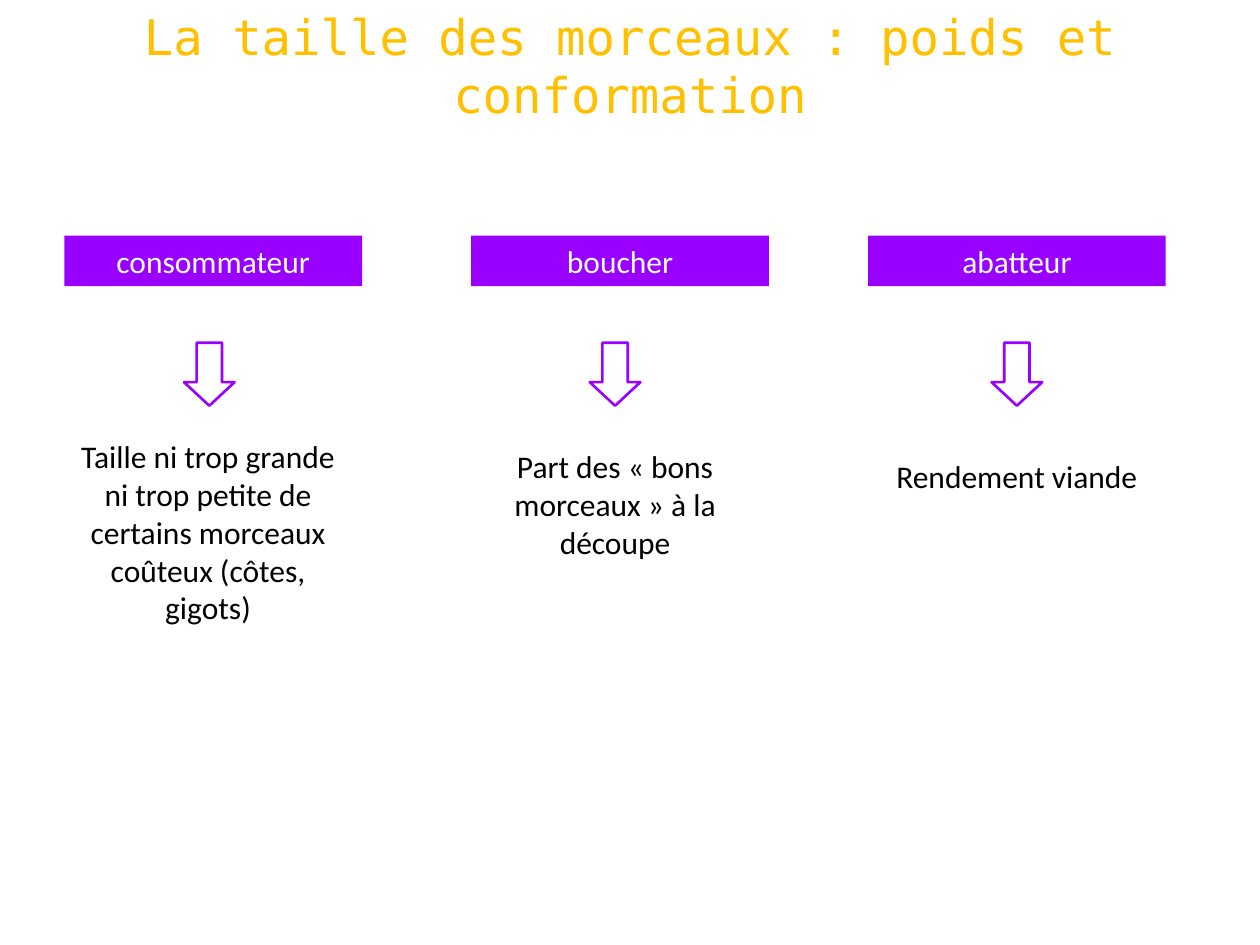
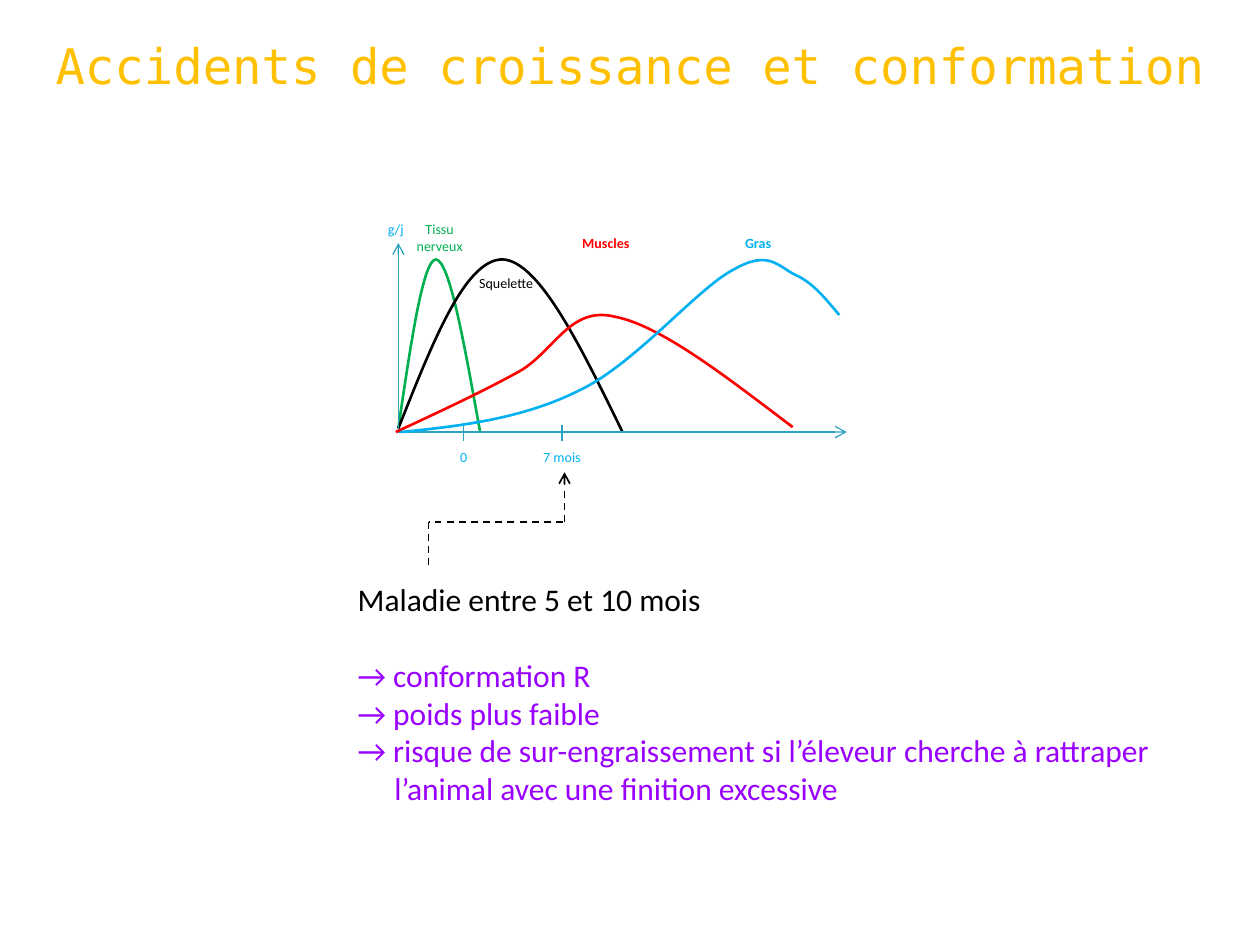
from lxml import etree
from pptx import Presentation
from pptx import util as u
from pptx.dml.color import RGBColor
from pptx.enum import dml, shapes, text
from pptx.oxml import ns

COLOURS = {
    "title": "FFC000",
    "violet": "9900FF",
    "white": "FFFFFF",
    "black": "000000",
    "axis": "2DA2BF",
    "nerve": "00B050",
    "muscle": "FF0000",
    "fat": "00B0F0",
}
TITLE_FONT = "DejaVu Sans Mono"
BODY_FONT = "Calibri"
SLIDE_WIDTH, SLIDE_HEIGHT = 25.4, 19.05


def rgb(name):
    return RGBColor.from_string(COLOURS[name])


def box(*lengths):
    return [u.Cm(length) for length in lengths]


class Deck:
    """Shared style and the slide being filled; lengths are in centimetres."""

    def __init__(self):
        self.prs = Presentation()
        self.prs.slide_width, self.prs.slide_height = box(SLIDE_WIDTH, SLIDE_HEIGHT)
        self.slide = None

    def add_slide(self, heading):
        self.slide = self.prs.slides.add_slide(self.prs.slide_layouts[5])
        title = self.slide.shapes.title
        title.left, title.top, title.width, title.height = box(0, 0.33, SLIDE_WIDTH, 1.96)
        frame = title.text_frame
        frame.text = heading
        frame.auto_size = text.MSO_AUTO_SIZE.NONE
        frame.vertical_anchor = text.MSO_ANCHOR.MIDDLE
        self.style(frame.paragraphs[0], 28, "title", TITLE_FONT, centred=True)

    def style(self, paragraph, size, colour, font=BODY_FONT, bold=False, centred=False):
        paragraph.alignment = text.PP_ALIGN.CENTER if centred else text.PP_ALIGN.LEFT
        for run in paragraph.runs:
            run.font.name = font
            run.font.size = u.Pt(size)
            run.font.bold = bold
            run.font.color.rgb = rgb(colour)

    def textbox(self, place, lines, size=18, colour="black", bold=False, centred=True, inset=0.25):
        frame = self.slide.shapes.add_textbox(*box(*place)).text_frame
        frame.word_wrap = True
        frame.margin_left = frame.margin_right = u.Cm(inset)
        frame.text = lines
        for paragraph in frame.paragraphs:
            self.style(paragraph, size, colour, bold=bold, centred=centred)
        return frame

    def shape(self, kind, place, fill=None, outline=None):
        shape = self.slide.shapes.add_shape(kind, *box(*place))
        self.paint(shape, fill, outline)
        return shape

    def paint(self, shape, fill=None, outline=None):
        shape.shadow.inherit = False
        if fill:
            shape.fill.solid()
            shape.fill.fore_color.rgb = rgb(fill)
        else:
            shape.fill.background()
        if outline:
            shape.line.color.rgb = rgb(outline)
            shape.line.width = u.Pt(1.5)
        else:
            shape.line.fill.background()

    def band(self, place, label):
        frame = self.shape(shapes.MSO_SHAPE.RECTANGLE, place, fill="violet").text_frame
        frame.text = label
        frame.vertical_anchor = text.MSO_ANCHOR.TOP
        self.style(frame.paragraphs[0], 18, "white", centred=True)

    def line(self, start, end, colour, width=0.75, dashed=False, arrow=False):
        connector = self.slide.shapes.add_connector(
            shapes.MSO_CONNECTOR.STRAIGHT, *box(*start, *end))
        connector.line.color.rgb = rgb(colour)
        connector.line.width = u.Pt(width)
        if dashed:
            connector.line.dash_style = dml.MSO_LINE.DASH
        properties = connector._element.spPr
        if arrow:
            etree.SubElement(properties.find(ns.qn("a:ln")), ns.qn("a:tailEnd"), type="arrow")
        etree.SubElement(properties, ns.qn("a:effectLst"))

    def curve(self, points, colour):
        """Draw a start point followed by triples of cubic Bézier points."""
        start, *others = [box(*point) for point in points]
        builder = self.slide.shapes.build_freeform(*start)
        builder.add_line_segments(others, close=False)
        shape = builder.convert_to_shape()
        self.paint(shape, outline=colour)
        # Turn each three straight segments into one smooth segment
        segments = list(shape._element.iter(ns.qn("a:lnTo")))
        outline = segments[0].getparent()
        for first in range(0, len(segments), 3):
            cubic = etree.SubElement(outline, ns.qn("a:cubicBezTo"))
            for segment in segments[first:first + 3]:
                cubic.append(segment[0])
                outline.remove(segment)


def build_sizes(deck):
    deck.add_slide("La taille des morceaux : poids et conformation")
    # One column per actor: band left, arrow left, expectation place, wording
    columns = [
        ("consommateur", 1.3, 3.71, (1.3, 8.69, 5.79, 4.11),
         "Taille ni trop grande ni trop petite de certains morceaux coûteux (côtes, gigots)"),
        ("boucher", 9.5, 11.89, (9.3, 8.89, 6.2, 2.54),
         "Part des « bons morceaux » à la découpe"),
        ("abatteur", 17.5, 19.99, (17.5, 9.09, 6, 1.02), "Rendement viande"),
    ]
    for actor, band_left, arrow_left, place, expectation in columns:
        deck.band((band_left, 4.75, 6, 1.02), actor)
        arrow = deck.shape(shapes.MSO_SHAPE.DOWN_ARROW, (arrow_left, 6.91, 1.02, 1.27),
                           outline="violet")
        arrow.adjustments[1] = 0.465
        deck.textbox(place, expectation)


def build_growth(deck):
    deck.add_slide("Accidents de croissance et conformation")
    origin = (8.03, 8.71)

    # Growth curves and axes
    nerve = [(8.03, 8.64), (8.28, 6.93), (8.53, 5.23), (8.79, 5.23),
             (9.07, 5.26), (9.37, 6.99), (9.68, 8.71)]
    skeleton = [(8.03, 8.64), (8.71, 6.93), (9.37, 5.23), (10.13, 5.23),
                (10.87, 5.26), (11.71, 6.99), (12.55, 8.71)]
    muscle = [(7.98, 8.71), (8.84, 8.31), (9.68, 7.92), (10.41, 7.52),
              (11.15, 7.14), (11.46, 6.17), (12.37, 6.38),
              (13.31, 6.55), (14.63, 7.59), (15.98, 8.61)]
    fat = [(8.08, 8.71), (9.32, 8.59), (10.57, 8.43), (11.68, 7.87),
           (12.8, 7.34), (14.05, 5.82), (14.78, 5.44),
           (15.49, 5.03), (15.67, 5.36), (16.03, 5.54),
           (16.38, 5.69), (16.64, 6.02), (16.92, 6.35)]
    deck.curve(nerve, "nerve")
    deck.curve(skeleton, "black")
    for axis_end in [(8.03, 4.9), (17.07, 8.71)]:
        deck.line(origin, axis_end, "axis", arrow=True)
    for tick in (9.35, 11.33):
        deck.line((tick, 8.57), (tick, 8.9), "axis")
    deck.curve(muscle, "muscle")
    deck.curve(fat, "fat")

    # Labels of curves and axes
    labels = [
        ("0", (9.02, 8.92, 0.66, 0.6), "fat", False),
        ("7 mois", (10.67, 8.92, 1.32, 0.6), "fat", False),
        ("g/j", (7.32, 4.32, 1.32, 0.6), "fat", False),
        ("Tissu nerveux", (8.13, 4.32, 1.47, 0.94), "nerve", False),
        ("Squelette", (9.33, 5.41, 1.75, 0.6), "black", False),
        ("Muscles", (11.48, 4.6, 1.47, 0.6), "muscle", True),
        ("Gras", (14.55, 4.6, 1.47, 0.6), "fat", True),
    ]
    for label, place, colour, bold in labels:
        deck.textbox(place, label, 8, colour, bold, inset=0.2)

    # Illness and its consequences
    illness = deck.textbox(
        (6.96, 11.56, 16.94, 4.88),
        "Maladie entre 5 et 10 mois\n→ conformation R\n→ poids plus faible\n"
        "→ risque de sur-engraissement si l’éleveur cherche à rattraper "
        "l’animal avec une finition excessive", centred=False)
    consequences = illness.paragraphs[1:]
    for consequence in consequences:
        deck.style(consequence, 18, "violet")
        hanging = consequence._p.get_or_add_pPr()
        hanging.set("marL", str(u.Cm(0.74)))
        hanging.set("indent", str(-u.Cm(0.74)))
    consequences[0].space_before = u.Pt(22)

    # Dashed path from the illness to its age on the axis
    deck.line((11.35, 10.52), (8.64, 10.52), "black", 1, dashed=True)
    deck.line((11.38, 10.52), (11.38, 9.52), "black", 1, dashed=True, arrow=True)
    deck.line((8.64, 10.52), (8.64, 11.46), "black", 1, dashed=True)


def main():
    deck = Deck()
    build_sizes(deck)
    build_growth(deck)
    deck.prs.save("out.pptx")


if __name__ == "__main__":
    main()
